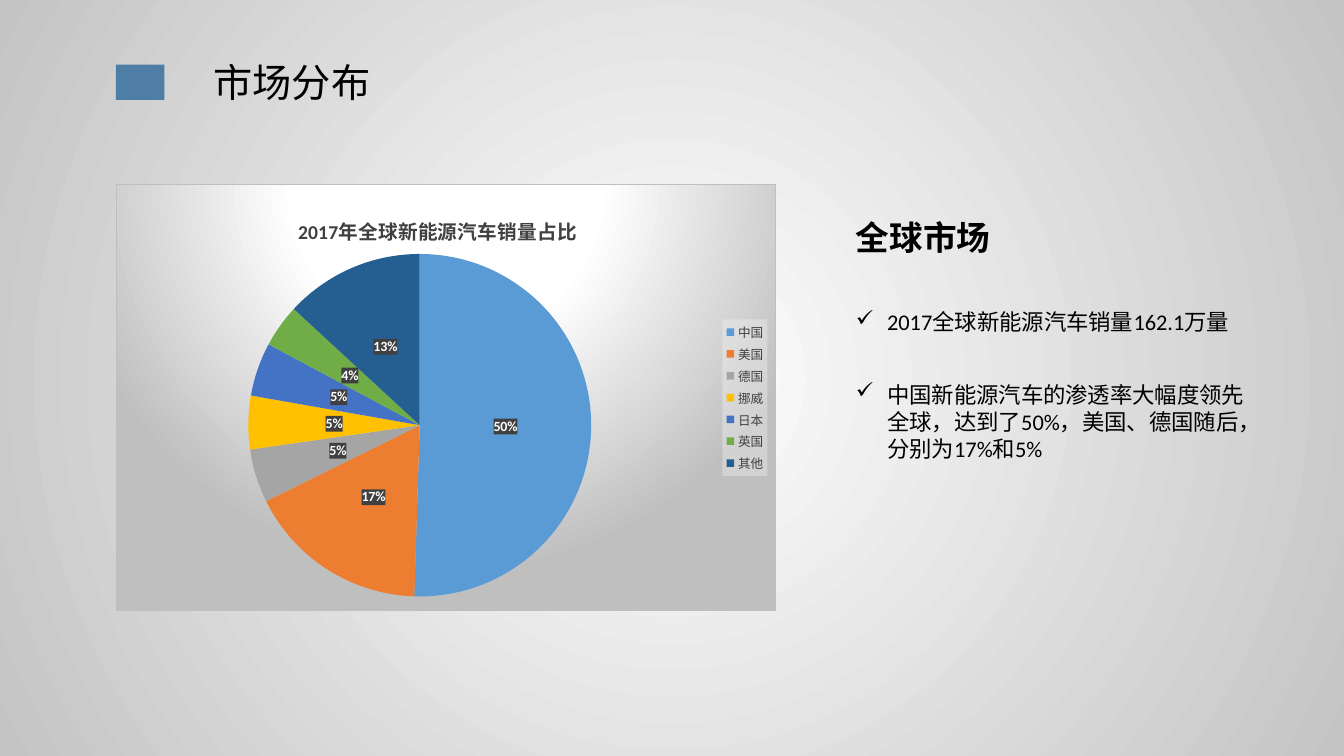
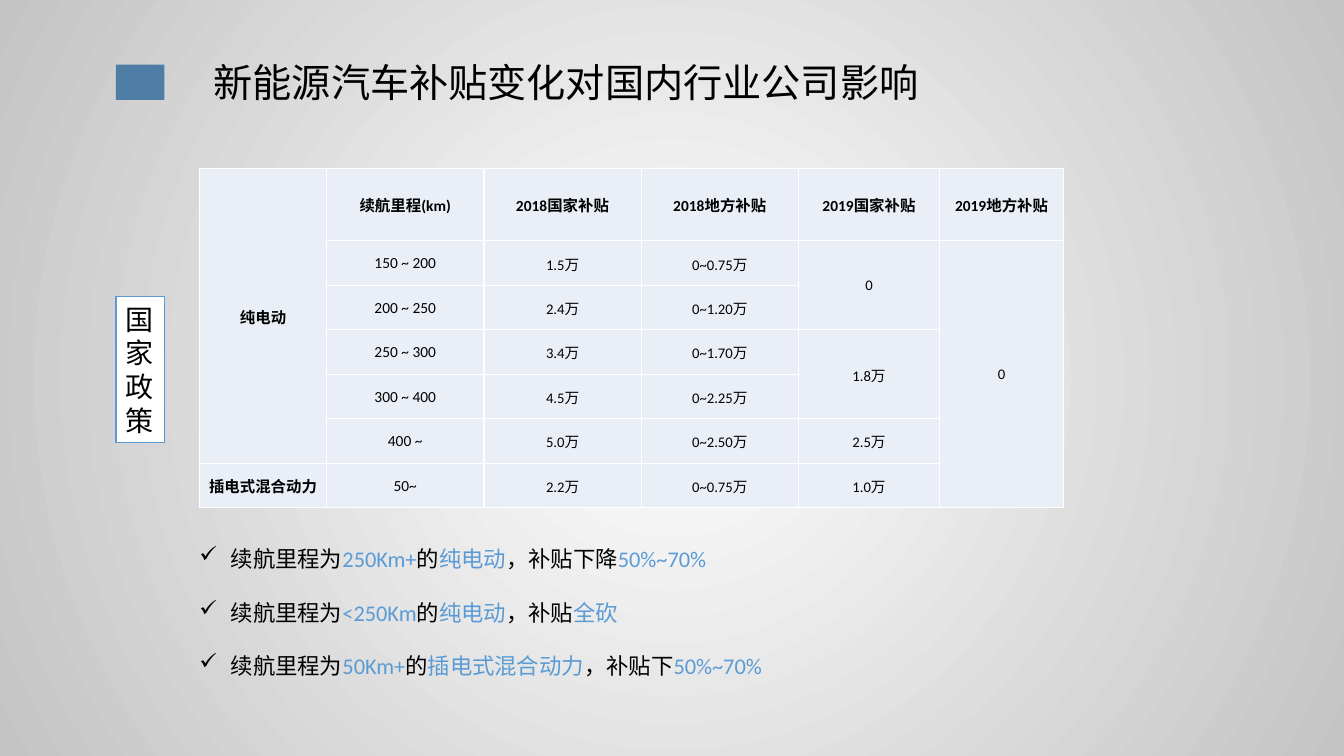
from dataclasses import dataclass
from typing import Any

import pptx
import pptx.chart.data
import pptx.dml.color
import pptx.enum.chart
import pptx.enum.shapes
import pptx.enum.text
import pptx.oxml
import pptx.oxml.ns
import pptx.util
from pptx.util import Inches

COLORS = {
    "text": "000000", "accent": "5B9BD5", "marker": "4E7DA6", "white": "FFFFFF",
    "edge": "C4C4C4", "panel": "BFBFBF", "dark": "404040", "pale": "F2F2F2",
    "cell": "EAEFF7",
}
BODY, HEAD = "Calibri", "Noto Sans CJK SC"
NS = pptx.oxml.ns.nsdecls("a", "c")
qn = pptx.oxml.ns.qn
LEFT = 1.15
BODY_SIZE = 16


@dataclass
class Slice:
    name: str
    value: int
    color: str


@dataclass
class Merge:
    row: int
    col: int
    last_row: int


SLICES = [
    Slice("中国", 50, "5B9BD5"), Slice("美国", 17, "ED7D31"),
    Slice("德国", 5, "A5A5A5"), Slice("挪威", 5, "FFC000"),
    Slice("日本", 5, "4472C4"), Slice("英国", 4, "70AD47"),
    Slice("其他", 13, "255E91"),
]

SUBSIDIES = [
    ["纯电动", "续航里程(km)", "2018国家补贴", "2018地方补贴", "2019国家补贴", "2019地方补贴"],
    ["", "150 ~ 200", "1.5万", "0~0.75万", "0", "0"],
    ["", "200 ~ 250", "2.4万", "0~1.20万", "", ""],
    ["", "250 ~ 300", "3.4万", "0~1.70万", "1.8万", ""],
    ["", "300 ~ 400", "4.5万", "0~2.25万", "", ""],
    ["", "400 ~", "5.0万", "0~2.50万", "2.5万", ""],
    ["插电式混合动力", "50~", "2.2万", "0~0.75万", "1.0万", ""],
]
MERGES = [Merge(0, 0, 5), Merge(1, 4, 2), Merge(3, 4, 4), Merge(1, 5, 6)]
COL_WIDTHS = [1.26, 1.56, 1.56, 1.56, 1.4, 1.23]
HEADER_HEIGHT, TABLE_HEIGHT = 0.72, 3.37

# Plain and accented parts alternate.
IMPACTS = [
    ["续航里程为", "250Km+", "的", "纯电动", "，补贴下降", "50%~70%"],
    ["续航里程为", "<250Km", "的", "纯电动", "，补贴", "全砍"],
    ["续航里程为", "50Km+", "的", "插电式混合动力", "，补贴下", "50%~70%"],
]


def rgb(value: str) -> pptx.dml.color.RGBColor:
    return pptx.dml.color.RGBColor.from_string(value)


def box(left: float, top: float, width: float, height: float) -> list:
    return [Inches(v) for v in (left, top, width, height)]


def format_font(font: Any, size: float, color: str = "text", bold: bool = False,
                name: str = BODY) -> None:
    font.size, font.bold, font.name = pptx.util.Pt(size), bold, name
    font.color.rgb = rgb(COLORS[color])


def add_text(p: Any, text: str, *, size: float, color: str = "text",
             bold: bool = False, name: str = BODY) -> None:
    r = p.add_run()
    r.text = text
    format_font(r.font, size, color, bold, name)
    r.font._element.append(pptx.oxml.parse_xml(f'<a:ea {NS} typeface="{HEAD}"/>'))


def solid_xml(color: str, alpha: int = 100) -> str:
    return (f'<a:solidFill><a:srgbClr val="{COLORS[color]}">'
            f'<a:alpha val="{alpha * 1000}"/></a:srgbClr></a:solidFill>')


def radial_xml(stops: list[tuple[int, str, int]], top: int, bottom: int) -> str:
    """Circular gradient; each stop is position, colour, opacity in percent."""
    gs = "".join(f'<a:gs pos="{pos * 1000}"><a:srgbClr val="{COLORS[color]}">'
                 f'<a:alpha val="{alpha * 1000}"/></a:srgbClr></a:gs>'
                 for pos, color, alpha in stops)
    return (f'<a:gradFill {NS} rotWithShape="1"><a:gsLst>{gs}</a:gsLst>'
            f'<a:path path="circle"><a:fillToRect l="50000" t="{top * 1000}" '
            f'r="50000" b="{bottom * 1000}"/></a:path></a:gradFill>')


def set_background(prs: Any) -> None:
    master = prs.slide_master
    master.background.fill.gradient()
    grad = next(master.element.iter(qn("a:gradFill")))
    stops = [(0, "white", 100), (100, "edge", 63)]
    grad.getparent().replace(grad, pptx.oxml.parse_xml(radial_xml(stops, 50, 50)))


def add_rect(s: Any, bounds: list, fill: str, line: str | None = None) -> Any:
    sp = s.shapes.add_shape(pptx.enum.shapes.MSO_SHAPE.RECTANGLE, *bounds)
    sp.shadow.inherit = False
    sp.fill.solid()
    sp.fill.fore_color.rgb = rgb(COLORS[fill])
    if line:
        sp.line.color.rgb = rgb(COLORS[line])
        sp.line.width = pptx.util.Pt(1)
    else:
        sp.line.fill.background()
    return sp


def add_box(s: Any, bounds: list) -> Any:
    tf = s.shapes.add_textbox(*bounds).text_frame
    tf.word_wrap = True
    return tf


def add_slide(prs: Any, title: str, title_width: float) -> Any:
    s = prs.slides.add_slide(prs.slide_layouts[6])
    add_rect(s, box(LEFT, 0.64, 0.48, 0.35), "marker")
    tf = add_box(s, box(2.02, 0.53, title_width, 0.57))
    add_text(tf.paragraphs[0], title, size=28, name=HEAD)
    return s


def add_checklist(s: Any, bounds: list, items: list[list[str]]) -> None:
    tf = add_box(s, bounds)
    for i, parts in enumerate(items):
        p = tf.add_paragraph() if i else tf.paragraphs[0]
        pPr = p._p.get_or_add_pPr()
        pPr.set("marL", str(Inches(0.31)))
        pPr.set("indent", str(-Inches(0.31)))
        pPr.append(pptx.oxml.parse_xml(f'<a:buChar {NS} char="✓"/>'))
        if i:
            p.space_before = pptx.util.Pt(19)
        for k, part in enumerate(parts):
            add_text(p, part, size=BODY_SIZE, color="accent" if k % 2 else "text")


def style_area(element: Any, fill_xml: str, line_xml: str = "") -> None:
    """Fill a chart part that already has its font set."""
    element.find(qn("c:txPr")).addprevious(
        pptx.oxml.parse_xml(f"<c:spPr {NS}>{fill_xml}{line_xml}</c:spPr>"))


def set_layout(element: Any, after: str, target: str = "", **fractions: float) -> None:
    """Place a chart part by fractions of the chart area."""
    for old in element.findall(qn("c:layout")):
        element.remove(old)
    inner = f'<c:layoutTarget val="{target}"/>' if target else ""
    inner += '<c:xMode val="edge"/><c:yMode val="edge"/>'
    inner += "".join(f'<c:{key} val="{v}"/>' for key, v in fractions.items())
    layout = pptx.oxml.parse_xml(
        f"<c:layout {NS}><c:manualLayout>{inner}</c:manualLayout></c:layout>")
    previous = element.find(qn(after)) if after else None
    if previous is None:
        element.insert(0, layout)
    else:
        previous.addnext(layout)


def add_sales_chart(s: Any) -> None:
    data = pptx.chart.data.CategoryChartData()
    data.categories = [item.name for item in SLICES]
    data.add_series("Series 1", [item.value for item in SLICES])
    chart = s.shapes.add_chart(pptx.enum.chart.XL_CHART_TYPE.PIE,
                               *box(LEFT, 1.83, 6.55, 4.23), data).chart
    format_font(chart.font, 10)
    stops = [(0, "white", 100), (39, "white", 100), (100, "panel", 100)]
    style_area(chart._chartSpace, radial_xml(stops, -80, 180),
               f'<a:ln w="9525">{solid_xml("panel")}</a:ln>')

    title = chart.chart_title
    add_text(title.text_frame.paragraphs[0], "2017年全球新能源汽车销量占比",
             size=14, color="dark", bold=True)
    set_layout(title._element, "c:tx", x=0.27, y=0.06)

    chart.has_legend = True
    legend = chart.legend
    legend.position = pptx.enum.chart.XL_LEGEND_POSITION.RIGHT
    legend.include_in_layout = False
    format_font(legend.font, 9, "dark")
    style_area(legend._element, solid_xml("pale", 39))

    plot = chart.plots[0]
    plot.vary_by_categories = True
    set_layout(plot._element.getparent(), "", "inner", x=0.2, y=0.16, w=0.52, h=0.81)
    for point_no, item in enumerate(SLICES):
        fill = plot.series[0].points[point_no].format.fill
        fill.solid()
        fill.fore_color.rgb = rgb(item.color)
    labels = plot.series[0].data_labels
    labels.show_value = True
    labels.number_format, labels.number_format_is_linked = '0"%"', False
    labels.position = pptx.enum.chart.XL_LABEL_POSITION.CENTER
    format_font(labels.font, 10, "white", True)
    style_area(labels._element, solid_xml("dark", 90))


def style_cell(cell: Any) -> None:
    cell.fill.solid()
    cell.fill.fore_color.rgb = rgb(COLORS["cell"])
    cell.vertical_anchor = pptx.enum.text.MSO_ANCHOR.MIDDLE
    cell.margin_left = cell.margin_right = cell.margin_top = Inches(0.01)
    cell.margin_bottom = 0
    tcPr = cell._tc.get_or_add_tcPr()
    for i, side in enumerate("LRTB"):
        tcPr.insert(i, pptx.oxml.parse_xml(
            f'<a:ln{side} {NS} w="12700">{solid_xml("white")}</a:ln{side}>'))


def add_subsidy_table(s: Any) -> None:
    rows, cols = len(SUBSIDIES), len(COL_WIDTHS)
    table = s.shapes.add_table(
        rows, cols, *box(1.98, 1.67, sum(COL_WIDTHS), TABLE_HEIGHT)).table
    table.first_row = table.horz_banding = False
    for col, width in zip(table.columns, COL_WIDTHS):
        col.width = Inches(width)
    for i, row in enumerate(table.rows):
        row.height = Inches((TABLE_HEIGHT - HEADER_HEIGHT) / (rows - 1) if i
                            else HEADER_HEIGHT)
    for i, texts in enumerate(SUBSIDIES):
        for j, text in enumerate(texts):
            cell = table.cell(i, j)
            style_cell(cell)
            if text:
                p = cell.text_frame.paragraphs[0]
                p.alignment = pptx.enum.text.PP_ALIGN.CENTER
                heading = i == 0 or j == 0
                add_text(p, text, size=11 if heading or j == 1 else 10.5, bold=heading)
    for m in MERGES:
        table.cell(m.row, m.col).merge(table.cell(m.last_row, m.col))


def add_market_slide(prs: Any) -> None:
    s = add_slide(prs, "市场分布", 5.31)
    add_sales_chart(s)
    tf = add_box(s, box(8.39, 2.1, 2.15, 0.5))
    add_text(tf.paragraphs[0], "全球市场", size=24, bold=True)
    add_checklist(s, box(8.39, 3.01, 4.22, 0.64), [["2017全球新能源汽车销量162.1万量"]])
    add_checklist(s, box(8.39, 3.73, 4.22, 1.18), [[
        "中国新能源汽车的渗透率大幅度领先全球，达到了50%，美国、德国随后，分别为17%和5%"]])


def add_subsidy_slide(prs: Any) -> None:
    s = add_slide(prs, "新能源汽车补贴变化对国内行业公司影响", 7.91)
    tf = add_rect(s, box(LEFT, 2.94, 0.48, 1.45), "white", "accent").text_frame
    tf.word_wrap = True
    tf.paragraphs[0].alignment = pptx.enum.text.PP_ALIGN.LEFT
    add_text(tf.paragraphs[0], "国家政策", size=20, name=HEAD)
    add_subsidy_table(s)
    add_checklist(s, box(1.88, 5.36, 6.02, 1.99), IMPACTS)


def main() -> None:
    prs = pptx.Presentation()
    prs.slide_width, prs.slide_height = Inches(13.33), Inches(7.5)
    set_background(prs)
    add_market_slide(prs)
    add_subsidy_slide(prs)
    prs.save("out.pptx")


if __name__ == "__main__":
    main()
